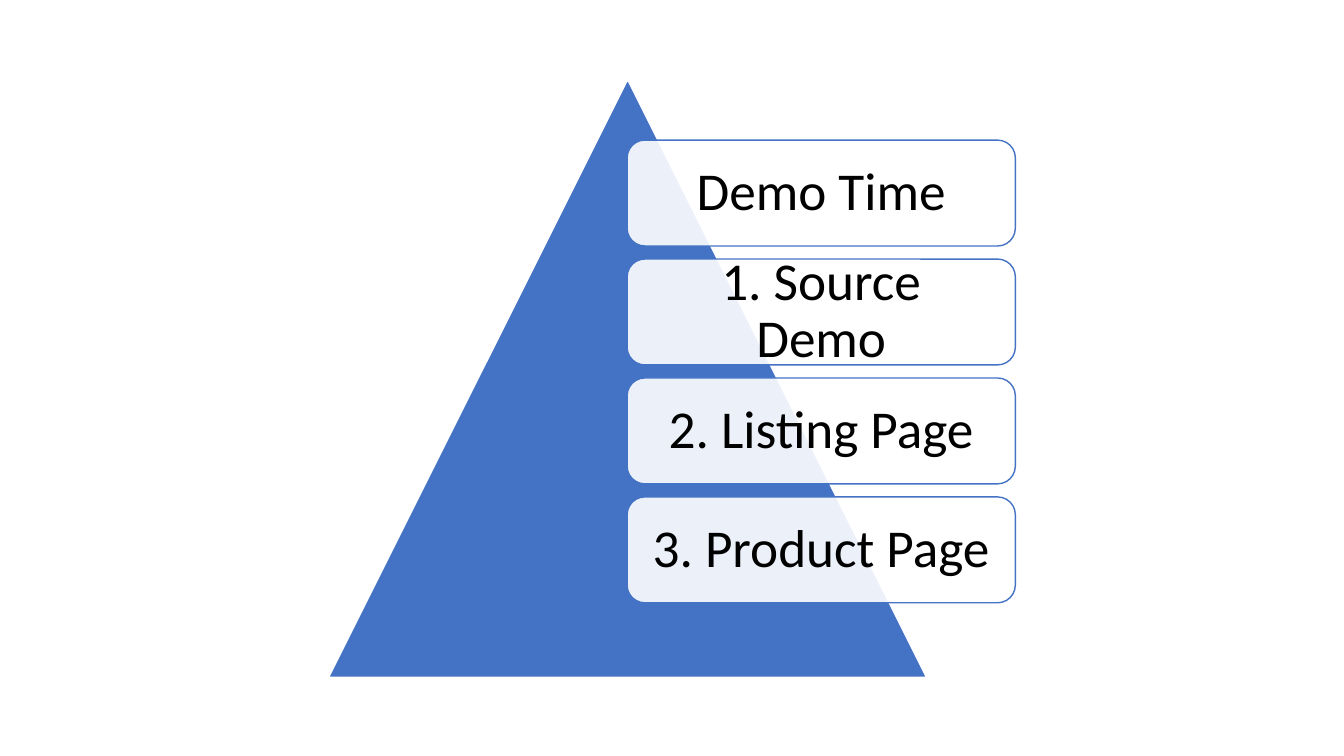
"""Build a slide with a triangle and a stack of demo steps."""
from lxml.etree import SubElement
from pptx import Presentation
from pptx.dml.color import RGBColor
from pptx.enum.shapes import MSO_SHAPE
from pptx.enum.text import MSO_ANCHOR, PP_ALIGN
from pptx.oxml.ns import qn
from pptx.util import Inches, Pt

STEPS = ["Demo Time", "1. Source Demo", "2. Listing Page", "3. Product Page"]
BLUE, WHITE, BLACK = "4472C4", "FFFFFF", "000000"
LEFT, TOP, WIDTH, HEIGHT, PITCH = 6.22, 1.39, 3.85, 1.05, 1.18
INSET = 0.2


def paint(color, code):
    color.rgb = RGBColor.from_string(code)


def add_form(group, kind, box, fill, line):
    form = group.shapes.add_shape(kind, *map(Inches, box))
    form.shadow.inherit = False
    form.fill.solid()
    paint(form.fill.fore_color, fill)
    paint(form.line.color, line)
    form.line.width = Pt(1)
    return form


def add_step(group, text, top):
    card = add_form(group, MSO_SHAPE.ROUNDED_RECTANGLE,
                    (LEFT, top, WIDTH, HEIGHT), WHITE, BLUE)
    color = card.element.spPr.find(qn("a:solidFill")).find(qn("a:srgbClr"))
    SubElement(color, qn("a:alpha"), val="90000")
    frame = card.text_frame
    frame.word_wrap = True
    frame.vertical_anchor = MSO_ANCHOR.MIDDLE
    frame.margin_left = frame.margin_right = Inches(INSET)
    frame.margin_top = frame.margin_bottom = Inches(INSET)
    para = frame.paragraphs[0]
    para.text = text
    para.alignment = PP_ALIGN.CENTER
    para.line_spacing = 0.9
    para.font.name = "Calibri"
    para.font.size = Pt(38)
    paint(para.font.color, BLACK)


def main():
    deck = Presentation()
    deck.slide_width, deck.slide_height = Inches(13.33), Inches(7.5)
    slide = deck.slides.add_slide(deck.slide_layouts[6])
    group = slide.shapes.add_group_shape()
    add_form(group, MSO_SHAPE.ISOSCELES_TRIANGLE,
             (3.26, 0.79, 5.93, 5.93), BLUE, WHITE)
    for row, text in enumerate(STEPS):
        add_step(group, text, TOP + row * PITCH)
    deck.save("out.pptx")


if __name__ == "__main__":
    main()
